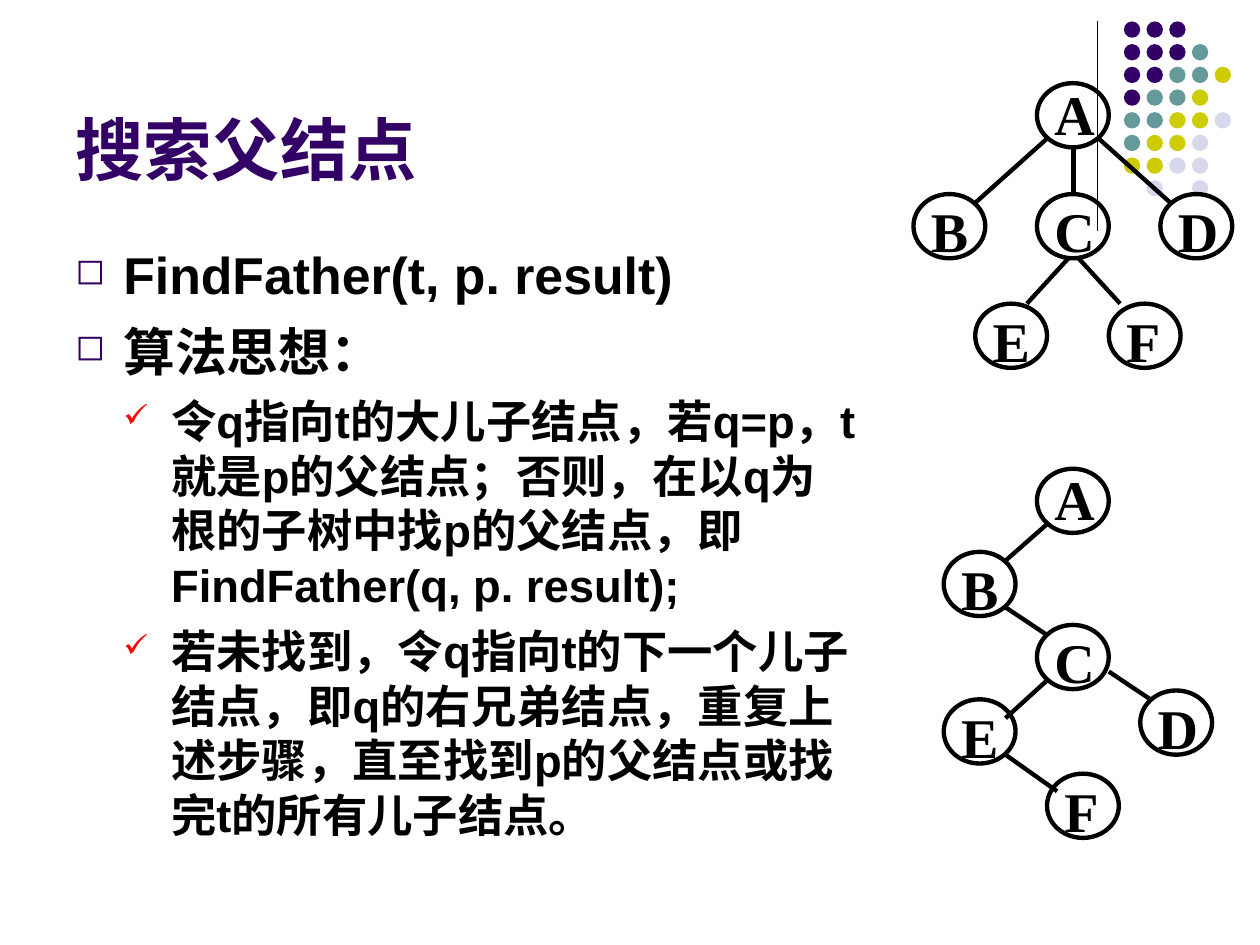
import pptx
import pptx.util
import pptx.dml.color
import pptx.enum.shapes
import pptx.enum.text
import pptx.oxml.ns
from lxml import etree

Inches, Pt = pptx.util.Inches, pptx.util.Pt
SHAPE = pptx.enum.shapes.MSO_SHAPE
ANCHOR = pptx.enum.text.MSO_ANCHOR

THEME = {
    "ink": "000000", "title": "330066", "check": "FF0000",
    "dots": {"P": "330066", "T": "669999", "Y": "CCCC00", "L": "D8D8EC"},
    "body_font": "Arial", "node_font": "Times New Roman",
    "title_size": 39, "node_size": 32, "line": 2.5, "rule": 0.75,
}

# Content
TITLE = "搜索父结点"
BODY = [  # level, text
    (0, "FindFather(t, p. result)"),
    (0, "算法思想："),
    (1, "令q指向t的大儿子结点，若q=p，t就是p的父结点；否则，在以q为根的子树中找p的父结点，"
        "即 FindFather(q, p. result);"),
    (1, "若未找到，令q指向t的下一个儿子结点，即q的右兄弟结点，重复上述步骤，"
        "直至找到p的父结点或找完t的所有儿子结点。"),
]
LEVELS = [  # bullet, bullet colour, left margin, type size, space before
    ("◻", THEME["title"], 0.38, 29.6, 8),
    ("✓", THEME["check"], 0.76, 25.9, 7),
]
DOTS = ["PPP", "PPPT", "PPTTY", "PTTY", "TTYYL", "TYYL", "YYLL", " L L"]
TREES = [
    {  # general tree
        "nodes": {"A": (8.23, 0.66), "B": (7.25, 1.54), "C": (8.23, 1.54),
                  "D": (9.21, 1.54), "E": (7.74, 2.41), "F": (8.8, 2.41)},
        "edges": [(8.52, 1.17, 8.52, 1.53), (8.31, 1.1, 7.74, 1.61),
                  (8.72, 1.1, 9.29, 1.61), (8.48, 2.05, 8.15, 2.41),
                  (8.56, 2.05, 8.89, 2.41)],
    },
    {  # first child / next sibling tree
        "nodes": {"A": (8.23, 3.72), "B": (7.49, 4.38), "C": (8.23, 4.96),
                  "D": (9.05, 5.48), "E": (7.49, 5.55), "F": (8.31, 6.14)},
        "edges": [(8.31, 4.16, 7.98, 4.45), (7.98, 4.82, 8.31, 5.04),
                  (8.31, 5.4, 7.98, 5.7), (7.98, 5.99, 8.39, 6.28),
                  (8.8, 5.33, 9.13, 5.55)],
    },
]
NODE_W, NODE_H = 0.57, 0.51
DOT_X, DOT_Y, DOT_STEP, DOT_SIZE = 8.92, 0.17, 0.18, 0.13

prs = pptx.Presentation()
prs.slide_width, prs.slide_height = Inches(10), Inches(7.5)
slide = prs.slides.add_slide(prs.slide_layouts[6])


def rgb(value):
    return pptx.dml.color.RGBColor.from_string(value)


def add_line(x1, y1, x2, y2, width):
    cx = slide.shapes.add_connector(pptx.enum.shapes.MSO_CONNECTOR.STRAIGHT,
                                    *map(Inches, (x1, y1, x2, y2)))
    cx.line.color.rgb = rgb(THEME["ink"])
    cx.line.width = Pt(width)
    etree.SubElement(cx._element.spPr, pptx.oxml.ns.qn("a:effectLst"))


def add_oval(x, y, w, h, fill=None):
    sp = slide.shapes.add_shape(SHAPE.OVAL, *map(Inches, (x, y, w, h)))
    sp.shadow.inherit = False
    if fill:
        sp.fill.solid()
        sp.fill.fore_color.rgb = rgb(fill)
        sp.line.fill.background()
    else:
        sp.fill.background()
        sp.line.color.rgb = rgb(THEME["ink"])
        sp.line.width = Pt(THEME["line"])


def add_box(x, y, w, h, anchor=ANCHOR.TOP):
    tf = slide.shapes.add_textbox(*map(Inches, (x, y, w, h))).text_frame
    tf.word_wrap = True
    tf.vertical_anchor = anchor
    return tf


def add_run(p, text, size, color, font):
    r = p.add_run()
    r.text = text
    r.font.size, r.font.bold, r.font.name = Pt(size), True, font
    r.font.color.rgb = rgb(color)


def add_bullet(p, char, color, margin):
    pPr = p._p.get_or_add_pPr()
    pPr.set("marL", str(Inches(margin)))
    pPr.set("indent", str(Inches(-0.38)))
    qn = pptx.oxml.ns.qn
    clr = etree.SubElement(pPr, qn("a:buClr"))
    etree.SubElement(clr, qn("a:srgbClr"), val=color)
    etree.SubElement(pPr, qn("a:buSzPct"), val="70000")
    etree.SubElement(pPr, qn("a:buChar"), char=char)


# Corner rule and dot pattern
add_line(8.71, 0.17, 8.71, 1.83, THEME["rule"])
for row, pattern in enumerate(DOTS):
    for col, key in enumerate(pattern):
        if key != " ":
            add_oval(DOT_X + col * DOT_STEP, DOT_Y + row * DOT_STEP,
                     DOT_SIZE, DOT_SIZE, THEME["dots"][key])

# Title
tf = add_box(0.5, 0.13, 8.25, 1.42, ANCHOR.BOTTOM)
add_run(tf.paragraphs[0], TITLE, THEME["title_size"], THEME["title"], THEME["body_font"])

# Body
tf = add_box(0.5, 1.88, 6.42, 4.82)
for i, (level, text) in enumerate(BODY):
    char, color, margin, size, before = LEVELS[level]
    p = tf.add_paragraph() if i else tf.paragraphs[0]
    p.level = level
    add_bullet(p, char, color, margin)
    if i:
        p.space_before = Pt(before)
    add_run(p, text, size, THEME["ink"], THEME["body_font"])

# Trees
for tree in TREES:
    for name, (x, y) in tree["nodes"].items():
        is_root = name == "A"
        add_oval(x, y, NODE_W, NODE_H)
        tf = add_box(x + 0.04, y - 0.08, NODE_W, 0.64 if is_root else 0.69)
        p = tf.paragraphs[0]
        if not is_root:
            p.line_spacing = 1.1
        add_run(p, name, THEME["node_size"], THEME["ink"], THEME["node_font"])
    for edge in tree["edges"]:
        add_line(*edge, THEME["line"])

prs.save("out.pptx")
